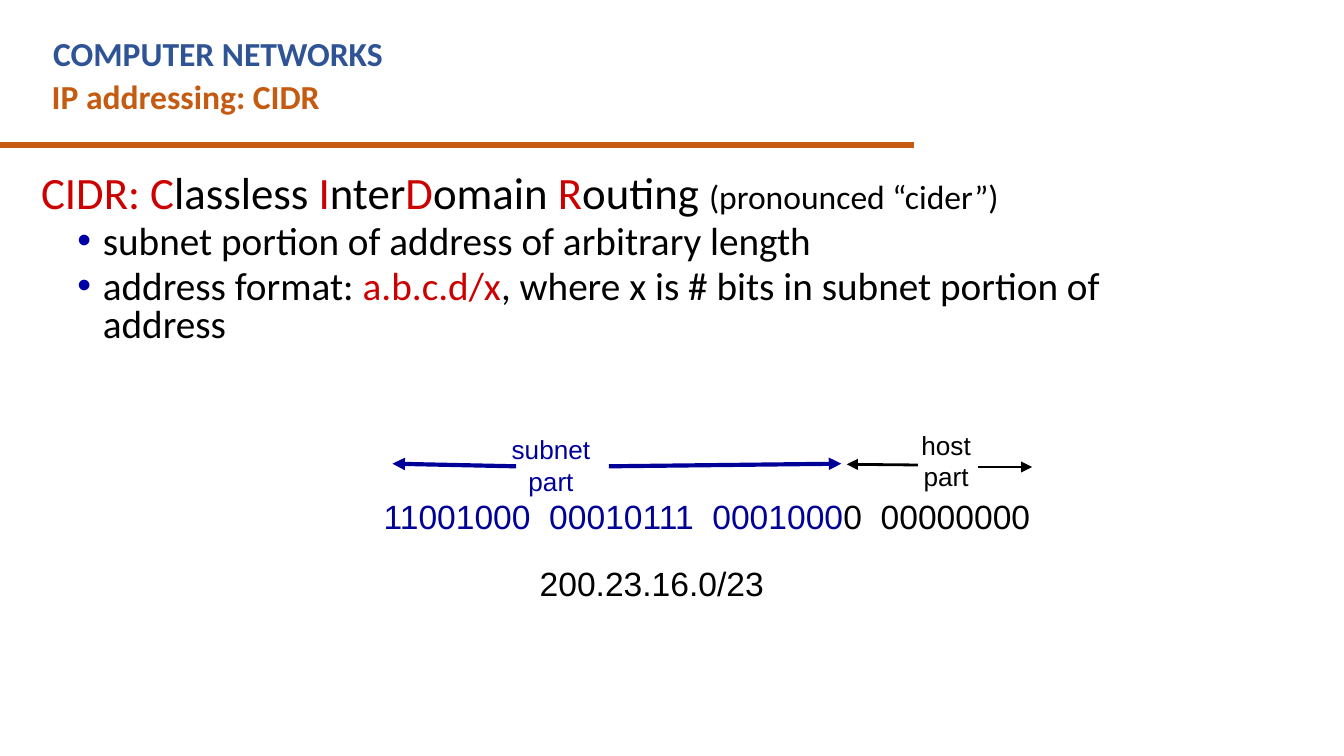
from lxml.etree import SubElement as Sub
from pptx import Presentation
from pptx.dml.color import RGBColor as RGB
from pptx.enum.shapes import MSO_CONNECTOR as Conn
from pptx.enum.text import PP_ALIGN as Align
from pptx.oxml.ns import qn
from pptx.util import Inches, Pt

COLORS = {
    "blue": "2F5496", "rust": "C55A11", "red": "CC0000",
    "navy": "000099", "dot": "0000A8", "black": "000000",
}
COLS, ROWS = 100, 56.25


class Deck:
    """Style and current slide; lengths are columns and rows of the grid."""

    def __init__(self):
        self.prs = Presentation()
        self.prs.slide_width = Inches(10)
        self.prs.slide_height = Inches(10) * 9 // 16
        self.slide = self.prs.slides.add_slide(self.prs.slide_layouts[6])

    def x(self, col):
        return round(self.prs.slide_width * col / COLS)

    def y(self, row):
        return round(self.prs.slide_height * row / ROWS)

    def box(self, col, row, wide, high):
        """Add an empty text box and return its frame."""
        shape = self.slide.shapes.add_textbox(
            self.x(col), self.y(row), self.x(wide), self.y(high))
        frame = shape.text_frame
        frame.word_wrap = True
        frame.margin_left = frame.margin_right = Pt(5.4)
        frame.margin_top = frame.margin_bottom = Pt(2.7)
        return frame

    def runs(self, para, parts, size, font, bold=False):
        """Fill a paragraph with (text, colour[, size]) parts."""
        for text, color, *own in parts:
            run = para.add_run()
            run.text = text
            run.font.name, run.font.bold = font, bold
            run.font.size = Pt(own[0] if own else size)
            run.font.color.rgb = RGB.from_string(COLORS[color])

    def title(self, col, row, wide, text, color):
        frame = self.box(col, row, wide, 3.8)
        self.runs(frame.paragraphs[0], [(text, color)], 18, "Calibri", True)

    def label(self, col, row, wide, high, lines, size=18, align=Align.LEFT):
        frame = self.box(col, row, wide, high)
        for i, parts in enumerate(lines):
            para = frame.add_paragraph() if i else frame.paragraphs[0]
            para.alignment = align
            self.runs(para, parts, size, "Arial")

    def outline(self, col, row, wide, high, head, points):
        """Add a heading paragraph followed by bulleted points."""
        frame = self.box(col, row, wide, high)
        first = frame.paragraphs[0]
        self.indent(first, 0.29, -0.18)
        self.runs(first, head, 24, "Calibri")
        for parts in points:
            para = frame.add_paragraph()
            para.level = 1
            para.space_before = Pt(4)
            self.indent(para, 0.57, -0.19)
            self.bullet(para)
            self.runs(para, parts, 21, "Calibri")

    def indent(self, para, left, hang):
        para.line_spacing = 0.8
        props = para._p.get_or_add_pPr()
        props.set("marL", str(Inches(left)))
        props.set("indent", str(Inches(hang)))

    def bullet(self, para):
        props = para._p.get_or_add_pPr()
        Sub(Sub(props, qn("a:buClr")), qn("a:srgbClr"), val=COLORS["dot"])
        Sub(props, qn("a:buFont"), typeface="Arial")
        Sub(props, qn("a:buChar"), char="•")

    def line(self, start, end, color, width, arrow=True):
        line = self.slide.shapes.add_connector(
            Conn.STRAIGHT, self.x(start[0]), self.y(start[1]),
            self.x(end[0]), self.y(end[1]))
        line.line.color.rgb = RGB.from_string(COLORS[color])
        line.line.width = Pt(width)
        if arrow:
            Sub(line.line._get_or_add_ln(), qn("a:tailEnd"), type="triangle")
        Sub(line._element.spPr, qn("a:effectLst"))


def main():
    deck = Deck()
    deck.line((-0.1, 10.8), (68, 10.8), "rust", 3, arrow=False)
    deck.title(3.2, 2.05, 61.5, "COMPUTER NETWORKS", "blue")
    deck.title(3.1, 5.3, 65.6, "IP addressing: CIDR", "rust")

    deck.outline(
        1.2, 12.65, 82.9, 17,
        [("CIDR: C", "red"), ("lassless ", "black"), ("I", "red"),
         ("nter", "black"), ("D", "red"), ("omain ", "black"),
         ("R", "red"), ("outing ", "black"),
         ("(pronounced “cider”)", "black", 18)],
        [[("subnet portion of address of arbitrary length", "black")],
         [("address format: ", "black"), ("a.b.c.d/x", "red"),
          (", where x is # bits in subnet portion of address", "black")]])

    deck.label(27.8, 36.5, 60.4, 3.8, [[
        ("11001000  00010111  0001000", "navy"), ("0  00000000", "black")]])
    for col, row, wide, name, color in (
            (36.7, 31.9, 8.6, "subnet", "navy"),
            (66.5, 31.55, 7.8, "host", "black")):
        deck.label(col, row, wide, 5.5, [[(name, color)], [("part", color)]],
                   14, Align.CENTER)
    deck.label(39.4, 41.5, 21.9, 3.8, [[("200.23.16.0/23", "black")]])

    for start, end, color, width in (
            ((45.3, 34.7), (62.6, 34.5), "navy", 2.25),
            ((38.4, 34.7), (29.2, 34.5), "navy", 2.25),
            ((68.3, 34.6), (63, 34.55), "black", 1.5),
            ((72.8, 34.75), (76.8, 34.75), "black", 1.5)):
        deck.line(start, end, color, width)
    deck.prs.save("out.pptx")


if __name__ == "__main__":
    main()
